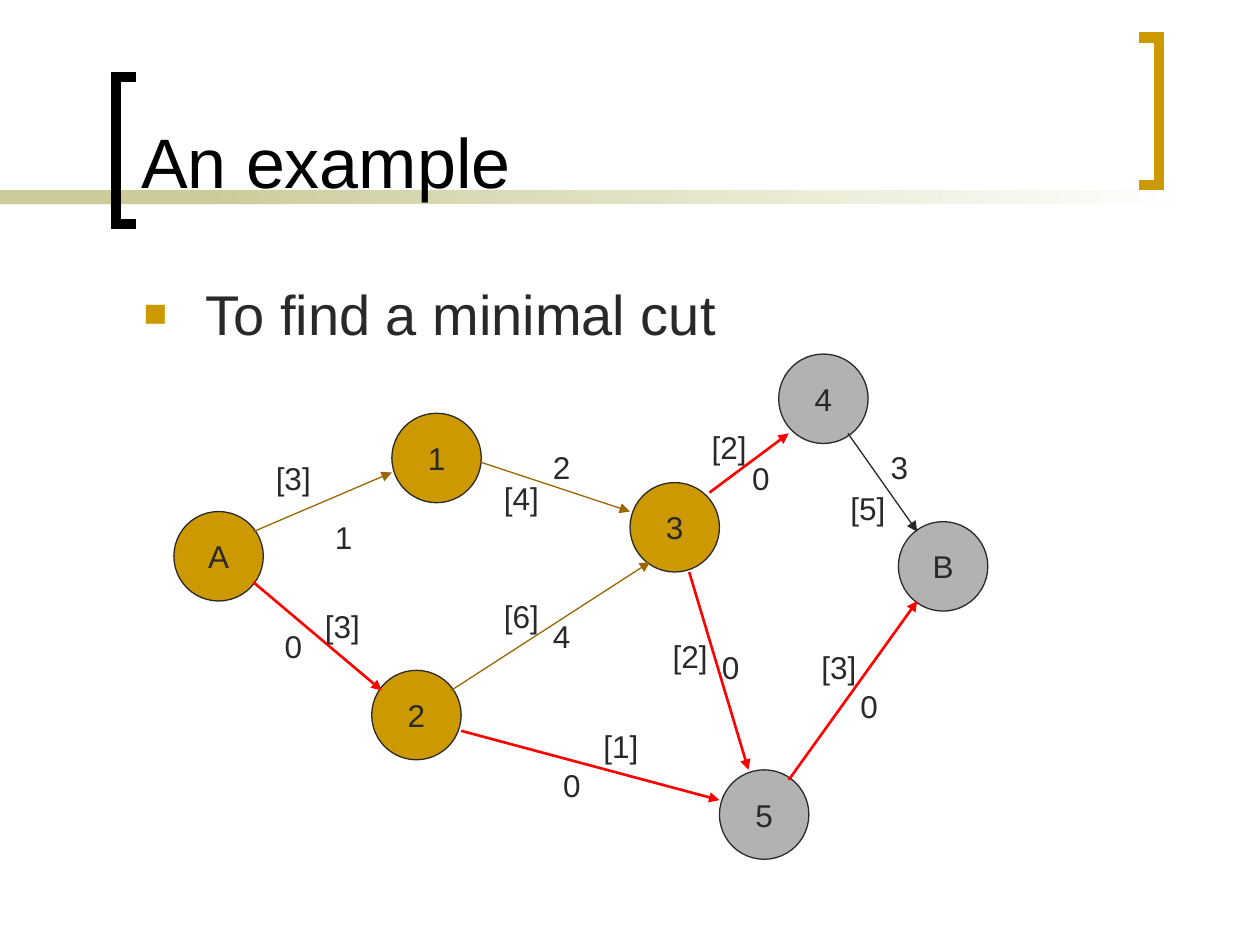
from lxml.etree import SubElement
from pptx import Presentation
from pptx.dml.color import RGBColor
from pptx.enum.shapes import MSO_CONNECTOR, MSO_SHAPE
from pptx.enum.text import MSO_ANCHOR, MSO_AUTO_SIZE, PP_ALIGN
from pptx.oxml.ns import qn
from pptx.util import Pt

PX = 9144  # EMU in one px, 100 px to the inch
FONT = "Arial"
COLORS = {
    "black": "000000", "white": "FFFFFF", "text": "292929", "gold": "CC9900",
    "gray": "B2B2B2", "band": "CCCC99", "brown": "996600", "red": "FF0000",
}
NODE_SIZE = 71
LABEL_HEIGHT = 40
FLOW_WIDTH, CAPACITY_WIDTH = 39, 55

# name, left, top, colour
NODES = [
    ("A", 0, 125, "gold"), ("B", 575, 133, "gray"), ("1", 173, 47, "gold"),
    ("2", 157, 251, "gold"), ("3", 362, 102, "gold"), ("5", 433, 330, "gray"),
    ("4", 480, 0, "gray"),
]
# start, end, colour, (residual, left, top), (capacity, left, top)
EDGES = [
    ((63, 181), (165, 267), "red", ("0", 78, 212), ("[3]", 110, 196)),
    ((63, 141), (173, 94), "brown", ("1", 118, 125), ("[3]", 71, 78)),
    ((220, 267), (378, 165), "brown", ("4", 291, 204), ("[6]", 252, 188)),
    ((244, 86), (362, 125), "brown", ("2", 291, 70), ("[4]", 252, 94)),
    ((228, 299), (433, 354), "red", ("0", 299, 322), ("[1]", 331, 291)),
    ((488, 338), (590, 196), "red", ("0", 535, 259), ("[3]", 504, 228)),
    ((425, 110), (488, 63), "red", ("0", 449, 78), ("[2]", 417, 54)),
    ((535, 63), (590, 141), "text", ("3", 559, 70), ("[5]", 527, 102)),
    ((409, 173), (456, 330), "red", ("0", 425, 228), ("[2]", 386, 220)),
]


def rgb(name):
    return RGBColor.from_string(COLORS[name])


def emu(*lengths):
    return [length * PX for length in lengths]


def style_line(line, color, width):
    line.color.rgb = rgb(color)
    line.width = Pt(width)


def write(frame, text, size, color="text", align=PP_ALIGN.LEFT):
    frame.text = text
    paragraph = frame.paragraphs[0]
    paragraph.alignment = align
    paragraph.space_before = Pt(0)
    font = paragraph.runs[0].font
    font.name, font.size, font.color.rgb = FONT, Pt(size), rgb(color)
    return paragraph


def add_band(slide, left, top, width, height):
    """Solid band that fades to white on the right."""
    solid_width, fade_left = 233, 158
    solid = slide.shapes.add_shape(
        MSO_SHAPE.RECTANGLE, *emu(left, top, solid_width, height))
    fade = slide.shapes.add_shape(
        MSO_SHAPE.RECTANGLE,
        *emu(left + fade_left, top, width - fade_left, height))
    for part in (solid, fade):
        part.shadow.inherit = False
        part.line.fill.background()
    solid.fill.solid()
    solid.fill.fore_color.rgb = rgb("band")
    fade.fill.gradient()
    fade.fill.gradient_angle = 180
    for stop, color in zip(fade.fill.gradient_stops, ("white", "band")):
        stop.color.rgb = rgb(color)


def add_bracket(slide, left, top, width, height, color, opens_right):
    right, bottom = left + width, top + height
    tip, spine = (right, left) if opens_right else (left, right)
    builder = slide.shapes.build_freeform(tip, top, scale=PX)
    builder.add_line_segments(
        [(spine, top), (spine, bottom), (tip, bottom)], close=False)
    bracket = builder.convert_to_shape()
    bracket.shadow.inherit = False
    bracket.fill.background()
    style_line(bracket.line, color, 6)
    SubElement(bracket.line._get_or_add_ln(), qn("a:miter"), lim="800000")


def place(placeholder, left, top, width, height):
    """Move a placeholder to the box and in front of what is drawn so far."""
    placeholder.left, placeholder.top, placeholder.width, placeholder.height = emu(
        left, top, width, height)
    element = placeholder._element
    element.getparent().append(element)
    placeholder.text_frame.auto_size = MSO_AUTO_SIZE.NONE
    return placeholder.text_frame


def fill_title(slide, *box):
    frame = place(slide.shapes.title, *box)
    frame.vertical_anchor = MSO_ANCHOR.BOTTOM
    write(frame, "An example", 40, "black")


def fill_body(slide, *box):
    frame = place(slide.placeholders[1], *box)
    properties = write(frame, "To find a minimal cut", 32)._p.get_or_add_pPr()
    indent = 49 * PX
    properties.set("marL", str(indent))
    properties.set("indent", str(-indent))
    bullet_color = SubElement(properties, qn("a:buClr"))
    SubElement(bullet_color, qn("a:srgbClr"), val=COLORS["gold"])
    SubElement(properties, qn("a:buSzPct"), val="70000")
    SubElement(properties, qn("a:buFont"), typeface=FONT)
    SubElement(properties, qn("a:buChar"), char="■")


def add_node(slide, name, left, top, color):
    node = slide.shapes.add_shape(
        MSO_SHAPE.OVAL, *emu(left, top, NODE_SIZE, NODE_SIZE))
    node.shadow.inherit = False
    node.fill.solid()
    node.fill.fore_color.rgb = rgb(color)
    style_line(node.line, "text", 0.75)
    node.text_frame.word_wrap = False
    node.text_frame.vertical_anchor = MSO_ANCHOR.MIDDLE
    write(node.text_frame, name, 18, align=PP_ALIGN.CENTER)


def add_arrow(slide, start, end, color):
    arrow = slide.shapes.add_connector(
        MSO_CONNECTOR.STRAIGHT, *emu(*start, *end))
    style_line(arrow.line, color, 1.5 if color == "red" else 0.75)
    SubElement(arrow.line._get_or_add_ln(), qn("a:tailEnd"), type="triangle")
    SubElement(arrow._element.spPr, qn("a:effectLst"))


def add_label(slide, text, left, top, width):
    frame = slide.shapes.add_textbox(
        *emu(left, top, width, LABEL_HEIGHT)).text_frame
    frame.word_wrap = True
    frame.auto_size = MSO_AUTO_SIZE.SHAPE_TO_FIT_TEXT
    write(frame, text, 18)


def add_network(slide, left, top):
    def shift(x, y):
        return left + x, top + y

    for name, x, y, color in NODES:
        add_node(slide, name, *shift(x, y), color)
    for start, end, color, *_ in EDGES:
        add_arrow(slide, shift(*start), shift(*end), color)
    for *_, residual, capacity in EDGES:
        for (text, x, y), width in ((residual, FLOW_WIDTH), (capacity, CAPACITY_WIDTH)):
            add_label(slide, text, *shift(x, y), width)


def main():
    deck = Presentation()
    deck.slide_width, deck.slide_height = emu(1000, 750)
    slide = deck.slides.add_slide(deck.slide_layouts[1])
    add_band(slide, 0, 151, 950, 11)
    add_bracket(slide, 92, 61, 16, 117, "black", opens_right=True)
    add_bracket(slide, 904, 30, 16, 117, "gold", opens_right=False)
    fill_title(slide, 102, 11, 783, 155)
    fill_body(slide, 104, 217, 838, 450)
    add_network(slide, 138, 281)
    deck.save("out.pptx")


if __name__ == "__main__":
    main()
